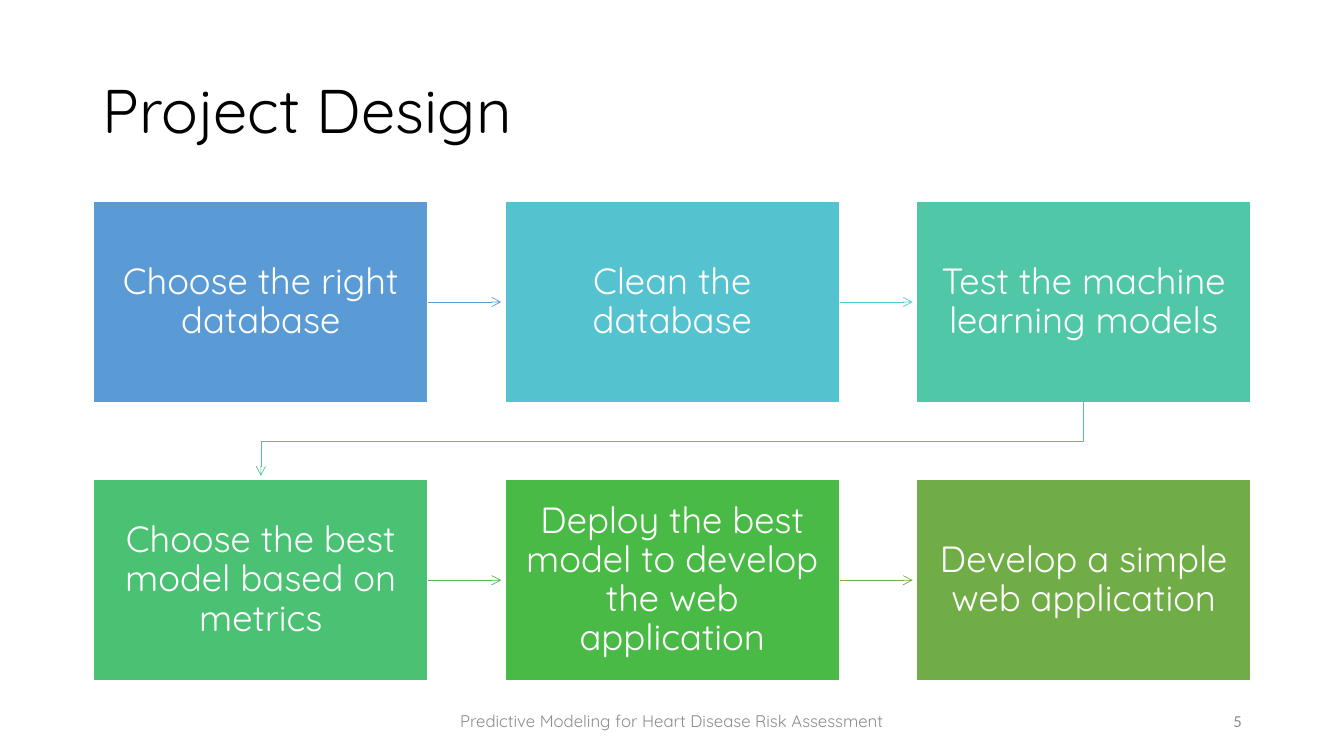
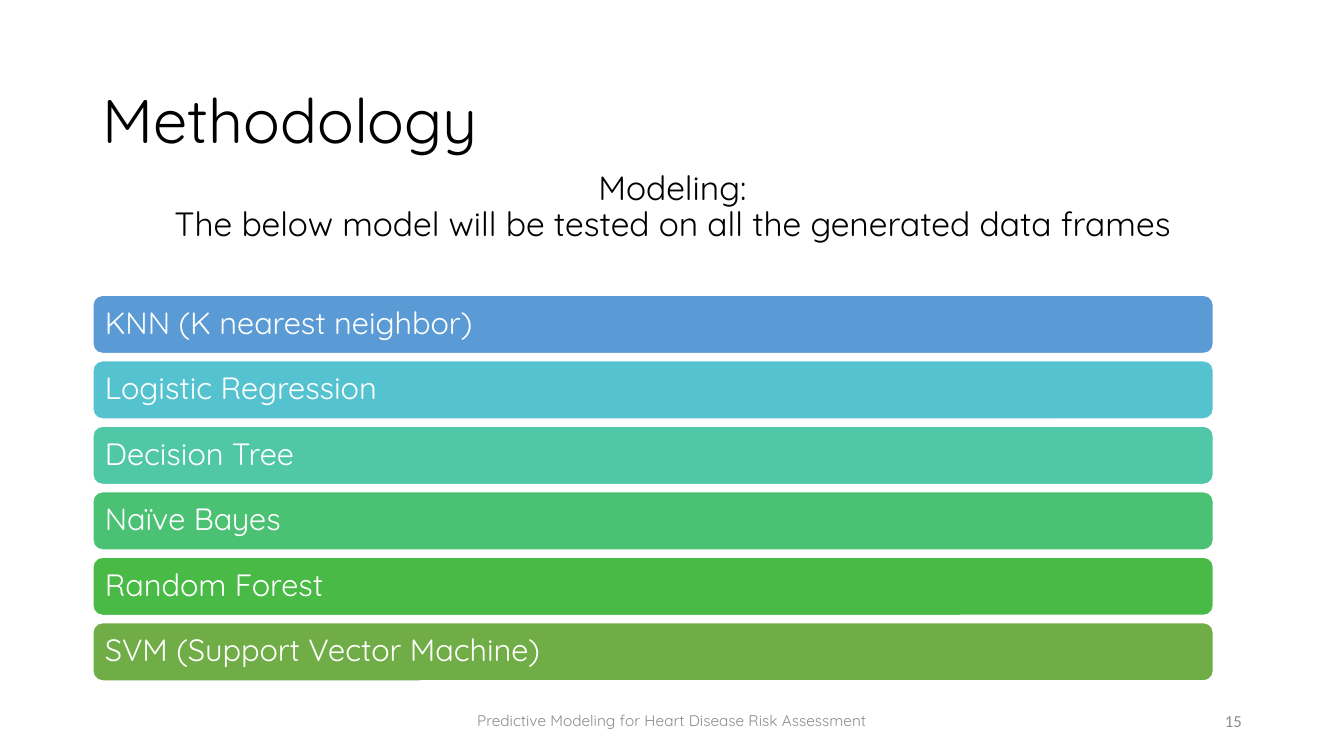
"""Build the project design and methodology slides of a heart disease risk talk."""
from lxml.etree import SubElement
from pptx import Presentation
from pptx.dml.color import RGBColor
from pptx.enum.shapes import MSO_CONNECTOR as CONNECTOR, MSO_SHAPE as SHAPE
from pptx.enum.text import MSO_ANCHOR as ANCHOR, PP_ALIGN as ALIGN
from pptx.oxml.ns import qn
from pptx.util import Cm, Pt

COLORS = {"text": "000000", "white": "FFFFFF", "footer": "8C8C8C",
          "blue": "5B9BD5", "cyan": "55C3CF", "teal": "50C8A7",
          "mint": "4BC174", "green": "4ABA46", "olive": "70AD47",
          "cyan_line": "54CCCD", "mint_line": "4DC58D", "green_line": "48BB4F"}
SCALE = ["blue", "cyan", "teal", "mint", "green", "olive"]
FONT = "Quicksand"
MARGIN = 2.34


def write(shape, text, size, color, align=ALIGN.LEFT, font=FONT, spacing=0.9, insets=(0.25, 0.13)):
    frame = shape.text_frame
    frame.word_wrap = True
    frame.vertical_anchor = ANCHOR.MIDDLE
    frame.margin_left = frame.margin_right = Cm(insets[0])
    frame.margin_top = frame.margin_bottom = Cm(insets[1])
    frame.text = text
    for paragraph in frame.paragraphs:
        paragraph.alignment = align
        paragraph.line_spacing = spacing
        for run in paragraph.runs:
            run.font.name = font
            run.font.size = Pt(size)
            run.font.color.rgb = RGBColor.from_string(COLORS[color])


def style_arrow(arrow, color):
    arrow.line.color.rgb = RGBColor.from_string(COLORS[color])
    arrow.line.width = Pt(0.5)
    SubElement(arrow.line._get_or_add_ln(), qn("a:tailEnd"), type="arrow")
    SubElement(arrow._element.spPr, qn("a:effectLst"))


presentation = Presentation()
presentation.slide_width, presentation.slide_height = Cm(33.87), Cm(19.05)

pages = [("Project Design", 1.02, 3.68, "5", 12), ("Methodology", 1.55, 3.15, "15", 11)]
for title, title_top, title_height, number, footer_size in pages:
    slide = presentation.slides.add_slide(presentation.slide_layouts[6])
    box = slide.shapes.add_textbox(Cm(MARGIN), Cm(title_top), Cm(29.21), Cm(title_height))
    write(box, title, 44, "text")
    box = slide.shapes.add_textbox(Cm(10.22), Cm(17.65), Cm(13.43), Cm(1.02))
    write(box, "Predictive Modeling for Heart Disease Risk Assessment", footer_size,
          "footer", ALIGN.CENTER, spacing=1)
    box = slide.shapes.add_textbox(Cm(23.93), Cm(17.65), Cm(7.62), Cm(1.02))
    write(box, number, 12, "footer", ALIGN.RIGHT, "Calibri", 1)

design, methodology = presentation.slides

steps = ["Choose the right database", "Clean the database", "Test the machine learning models",
         "Choose the best model based on metrics",
         "Deploy the best model to develop the web application", "Develop a simple web application"]
arrow_colors = ["blue", "cyan_line", "mint_line", "green_line", "olive"]
columns = 3
step_left, step_top, step_width, step_height = 2.36, 5.08, 8.43, 5.06
column_pitch, row_pitch = 10.37, 7.01
arrow_gap = 0.1

for index, (step, color) in enumerate(zip(steps, SCALE)):
    row, column = divmod(index, columns)
    left, top = step_left + column * column_pitch, step_top + row * row_pitch
    shape = design.shapes.add_shape(SHAPE.RECTANGLE, Cm(left), Cm(top), Cm(step_width), Cm(step_height))
    shape.shadow.inherit = False
    shape.fill.solid()
    shape.fill.fore_color.rgb = RGBColor.from_string(COLORS[color])
    shape.line.color.rgb = RGBColor.from_string(COLORS["white"])
    shape.line.width = Pt(1)
    write(shape, step, 26, "white", ALIGN.CENTER, insets=(0.41, 0.43))
    if column < columns - 1:
        middle = Cm(top + step_height / 2)
        arrow = design.shapes.add_connector(CONNECTOR.STRAIGHT, Cm(left + step_width), middle,
                                            Cm(left + column_pitch - arrow_gap), middle)
        style_arrow(arrow, arrow_colors[index])

first_center = step_left + step_width / 2
last_center = first_center + (columns - 1) * column_pitch
row_bottom, next_top = step_top + step_height, step_top + row_pitch
bend = (row_bottom + next_top) / 2
builder = design.shapes.build_freeform(Cm(last_center), Cm(row_bottom))
builder.add_line_segments([(Cm(last_center), Cm(bend)), (Cm(first_center), Cm(bend)),
                           (Cm(first_center), Cm(next_top - arrow_gap))], close=False)
return_arrow = builder.convert_to_shape()
return_arrow.fill.background()
style_arrow(return_arrow, arrow_colors[columns - 1])

models = ["KNN (K nearest neighbor)", "Logistic Regression", "Decision Tree",
          "Naïve Bayes", "Random Forest", "SVM (Support Vector Machine)"]
for index, (model, color) in enumerate(zip(models, SCALE)):
    shape = methodology.shapes.add_shape(SHAPE.ROUNDED_RECTANGLE, Cm(MARGIN), Cm(7.44 + index * 1.65),
                                         Cm(28.24), Cm(1.47))
    shape.shadow.inherit = False
    shape.fill.solid()
    shape.fill.fore_color.rgb = RGBColor.from_string(COLORS[color])
    shape.line.color.rgb = RGBColor.from_string(COLORS["white"])
    shape.line.width = Pt(1)
    write(shape, model, 22, "white", insets=(0.23, 0.23))

box = methodology.shapes.add_textbox(Cm(MARGIN), Cm(3.66), Cm(29.21), Cm(3.15))
write(box, "Modeling:\nThe below model will be tested on all the generated data frames",
      24, "text", ALIGN.CENTER)

presentation.save("out.pptx")
